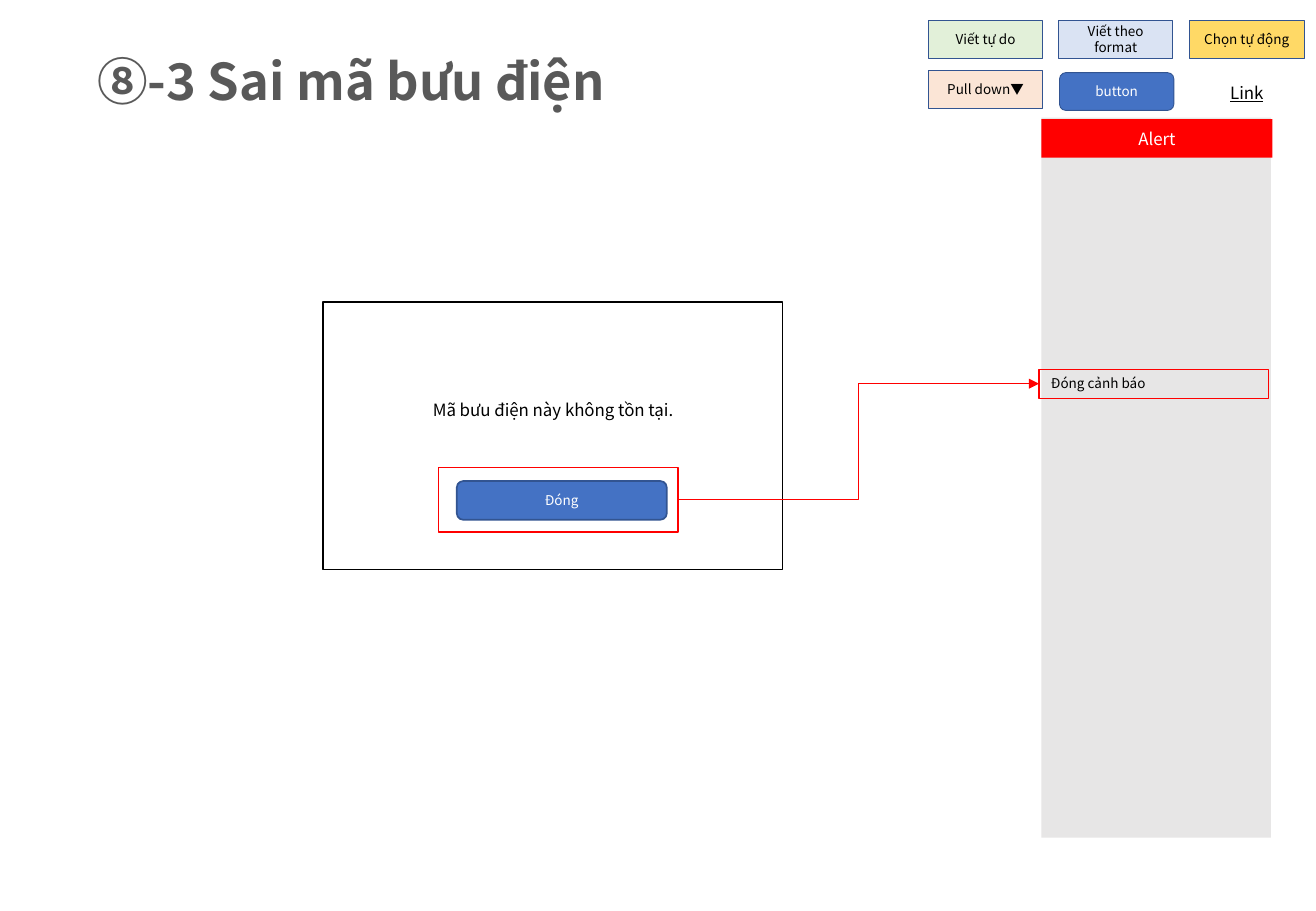
"""Build the wrong-postcode alert screen slide."""
import pptx
import pptx.util
import pptx.dml.color
import pptx.enum.shapes
import pptx.enum.text
import pptx.oxml
import pptx.oxml.ns

Cm, Pt = pptx.util.Cm, pptx.util.Pt
RGB = pptx.dml.color.RGBColor.from_string
SHAPE = pptx.enum.shapes.MSO_SHAPE
ALIGN = pptx.enum.text.PP_ALIGN
ANCHOR = pptx.enum.text.MSO_ANCHOR
NS = pptx.oxml.ns.nsdecls("a")
FONT = "Noto Sans CJK JP"
COLORS = {
    "black": "000000", "white": "FFFFFF", "gray": "595959", "panel": "E7E6E6",
    "red": "FF0000", "blue": "4472C4", "navy": "325491", "green": "E2F0D9",
    "peach": "FBE5D6", "sky": "DAE3F3", "gold": "FFD966",
}


def write(sp, text, size, color, align=ALIGN.CENTER, anchor=ANCHOR.MIDDLE, **formats):
    tf = sp.text_frame
    tf.word_wrap = True
    tf.auto_size = pptx.enum.text.MSO_AUTO_SIZE.NONE
    tf.vertical_anchor = anchor
    p = tf.paragraphs[0]
    p.alignment = align
    r = p.add_run()
    r.text = text
    for name, value in {"name": FONT, "size": Pt(size), **formats}.items():
        setattr(r.font, name, value)
    r.font.color.rgb = RGB(COLORS[color])
    r.font._element.append(pptx.oxml.parse_xml(f'<a:ea {NS} typeface="{FONT}"/>'))


def box(kind, place, fill=None, line=None, width=1):
    sp = s.shapes.add_shape(kind, *map(Cm, place))
    sp.shadow.inherit = False
    if fill:
        sp.fill.solid()
        sp.fill.fore_color.rgb = RGB(COLORS[fill])
    else:
        sp.fill.background()
    if line:
        sp.line.color.rgb = RGB(COLORS[line])
        sp.line.width = Pt(width)
    else:
        sp.line.fill.background()
    return sp


prs = pptx.Presentation()
prs.slide_width, prs.slide_height = Cm(27.51), Cm(19.05)
s = prs.slides.add_slide(prs.slide_layouts[5])

title = s.shapes.title
for name, value in {"left": 1.78, "top": 0.91, "width": 23.85, "height": 1.55}.items():
    setattr(title, name, Cm(value))
write(title, "⑧-3 Sai mã bưu điện", 30, "gray", ALIGN.LEFT, bold=True)

box(SHAPE.RECTANGLE, (21.77, 2.46, 4.8, 15.06), "panel")
note = box(SHAPE.RECTANGLE, (21.72, 7.72, 4.8, 0.61), None, "red", 0.75)
write(note, "Đóng cảnh báo", 8, "black", ALIGN.LEFT, ANCHOR.TOP)
box(SHAPE.RECTANGLE, (6.76, 6.32, 9.6, 5.59), None, "black")
close = box(SHAPE.ROUNDED_RECTANGLE, (9.55, 10.06, 4.39, 0.81), "blue", "navy")
write(close, "Đóng", 8, "white")
frame = box(SHAPE.RECTANGLE, (9.17, 9.78, 5, 1.35), None, "red")

arrow = s.shapes.add_connector(pptx.enum.shapes.MSO_CONNECTOR.ELBOW, 0, 0, 0, 0)
arrow.begin_connect(frame, 3)
arrow.end_connect(note, 1)
arrow.line.color.rgb = RGB(COLORS["red"])
arrow.line.width = Pt(0.5)
arrow.line._get_or_add_ln().append(pptx.oxml.parse_xml(f'<a:tailEnd {NS} type="triangle"/>'))
arrow._element.spPr.append(pptx.oxml.parse_xml(f"<a:effectLst {NS}/>"))

header = box(SHAPE.RECTANGLE, (21.77, 2.49, 4.83, 0.81), "red")
write(header, "Alert", 10, "white")

for text, place, underline in (
    ("Mã bưu điện này không tồn tại.", (6.76, 8.23, 9.6, 0.69), None),
    ("Link", (24.87, 1.6, 2.39, 0.69), True),
):
    tb = s.shapes.add_textbox(*map(Cm, place))
    write(tb, text, 10, "black", anchor=ANCHOR.TOP, underline=underline)

for text, kind, left, top, fill, color in (
    ("button", SHAPE.ROUNDED_RECTANGLE, 22.15, 1.52, "blue", "white"),
    ("Viết tự do", SHAPE.RECTANGLE, 19.41, 0.43, "green", "black"),
    ("Pull down▼", SHAPE.RECTANGLE, 19.41, 1.47, "peach", "black"),
    ("Viết theo format", SHAPE.RECTANGLE, 22.13, 0.43, "sky", "black"),
    ("Chọn tự động", SHAPE.RECTANGLE, 24.87, 0.43, "gold", "black"),
):
    sp = box(kind, (left, top, 2.39, 0.79), fill, "navy", 0.5)
    write(sp, text, 8, color)

prs.save("out.pptx")
